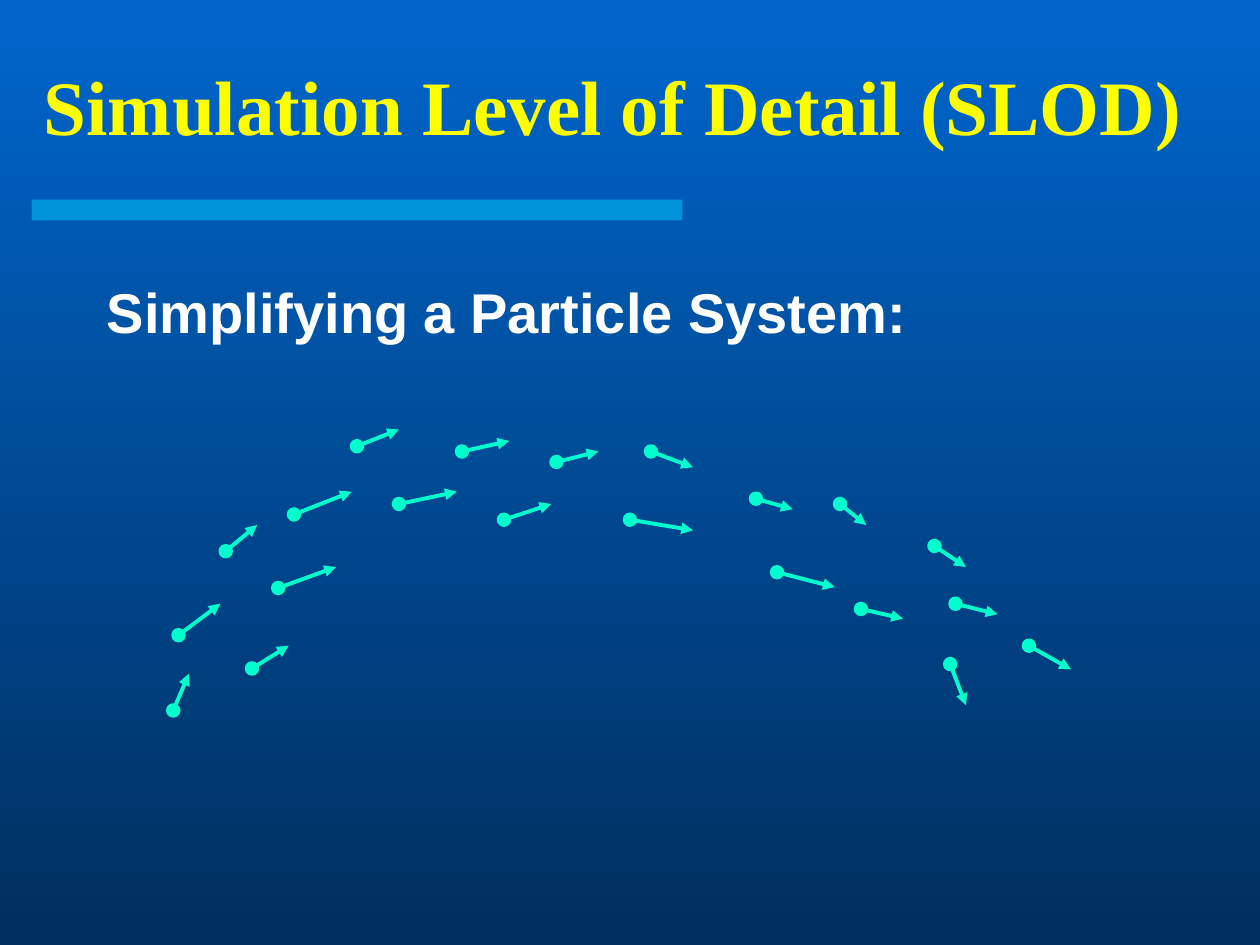
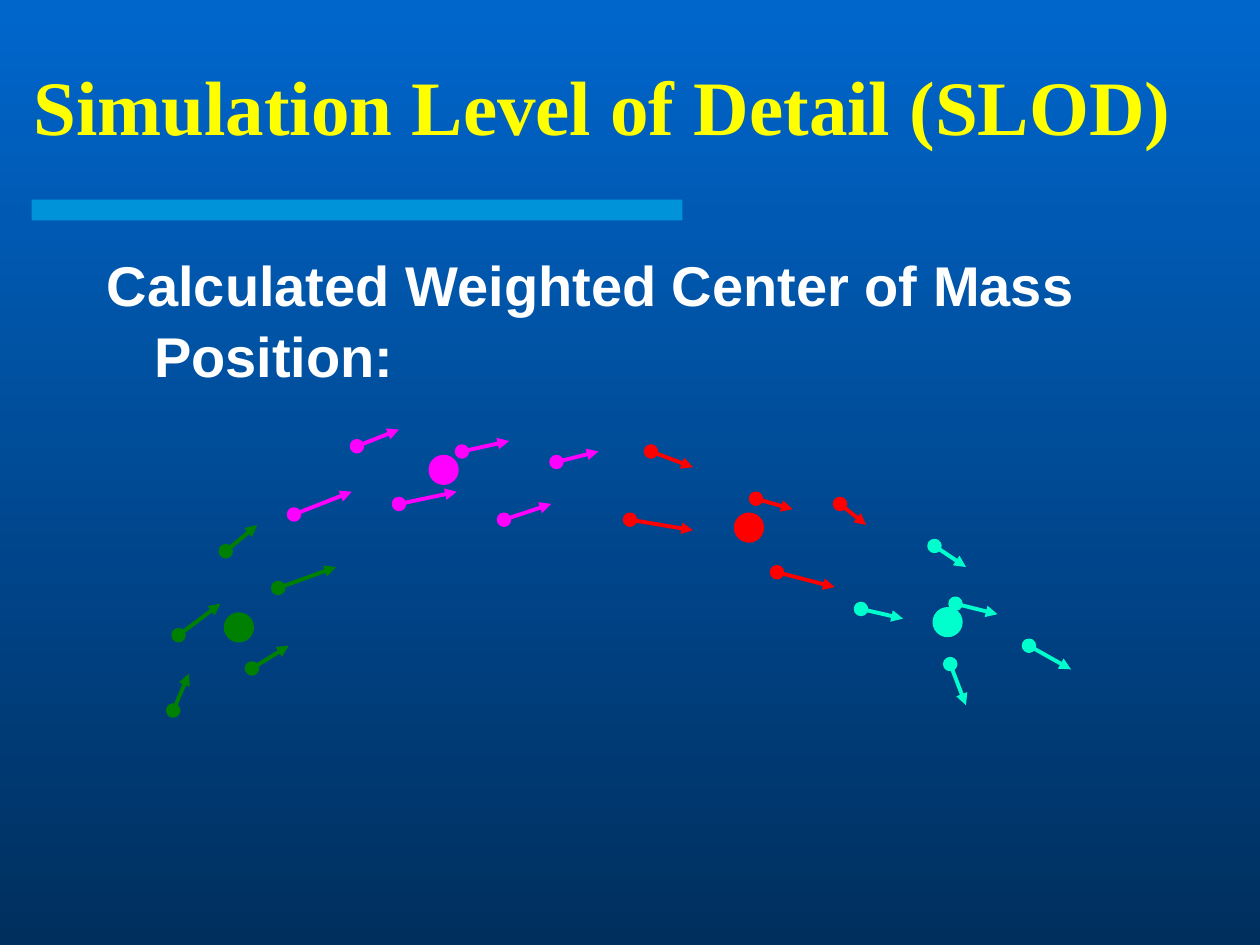
from lxml.etree import SubElement
from pptx import Presentation
from pptx.dml.color import RGBColor
from pptx.enum.shapes import MSO_CONNECTOR, MSO_SHAPE
from pptx.enum.text import MSO_ANCHOR
from pptx.oxml.ns import qn
from pptx.util import Pt

TITLE = "Simulation Level of Detail (SLOD)"
BACKGROUND = ("0066CC", "002F5E")
BAND, YELLOW, WHITE = "00CCFF", "FFFF00", "FFFFFF"
GREEN, MAGENTA, RED, AQUA = "008000", "FF00FF", "FF0000", "00FFCC"
DOT, MASS, STROKE = 6, 15, 2.25

CLUSTERS = [
    {"color": GREEN, "center": (136.5, 358.5), "particles": [
        (129, 315, 147, 300), (159, 336, 192, 324), (102, 363, 126, 345),
        (144, 382, 165, 369), (99, 406, 108, 385)]},
    {"color": MAGENTA, "center": (253.5, 268.5), "particles": [
        (168, 294, 201, 281), (204, 255, 228, 245.5), (228, 288, 261, 281),
        (264, 258, 291, 252), (318, 264, 342, 258), (288, 297, 315, 288)]},
    {"color": RED, "center": (428, 301.5), "particles": [
        (372, 258, 396, 267), (360, 297, 396, 303), (432, 285, 453, 291),
        (480, 288, 495, 300), (444, 327, 477, 335.5)]},
    {"color": AQUA, "center": (541.5, 355.5), "particles": [
        (534, 312, 552, 324), (492, 348, 516, 353.5), (546, 345, 570, 351),
        (543, 379.5, 552, 403), (588, 369, 612, 382.5)]},
]

SLIDES = [
    {"heading": "Simplifying a Particle System:", "heading_top": 153,
     "title_left": 18, "clustered": False},
    {"heading": "Calculated Weighted Center of Mass Position:", "heading_top": 138,
     "title_left": 12, "clustered": True},
]


def rgb(color):
    return RGBColor.from_string(color)


def add_text(slide, text, left, top, width, height, font, size, color,
             anchor=MSO_ANCHOR.TOP, hanging=0, before=0, spacing=1.0):
    box = slide.shapes.add_textbox(Pt(left), Pt(top), Pt(width), Pt(height))
    frame = box.text_frame
    frame.word_wrap = True
    frame.vertical_anchor = anchor
    paragraph = frame.paragraphs[0]
    paragraph.space_before = Pt(before)
    paragraph.line_spacing = spacing
    if hanging:
        properties = paragraph._p.get_or_add_pPr()
        properties.set("marL", str(Pt(hanging)))
        properties.set("indent", str(-Pt(hanging)))
    run = paragraph.add_run()
    run.text = text
    run.font.name = font
    run.font.size = Pt(size)
    run.font.bold = True
    run.font.color.rgb = rgb(color)


def add_circle(slide, x, y, diameter, color):
    shape = slide.shapes.add_shape(
        MSO_SHAPE.OVAL, Pt(x - diameter / 2), Pt(y - diameter / 2), Pt(diameter), Pt(diameter))
    shape.shadow.inherit = False
    shape.fill.solid()
    shape.fill.fore_color.rgb = rgb(color)
    shape.line.color.rgb = rgb(color)
    shape.line.width = Pt(STROKE)


def add_arrow(slide, ends, color):
    arrow = slide.shapes.add_connector(MSO_CONNECTOR.STRAIGHT, *map(Pt, ends))
    arrow.line.color.rgb = rgb(color)
    arrow.line.width = Pt(STROKE)
    SubElement(arrow.line._get_or_add_ln(), qn("a:tailEnd"), type="triangle")
    SubElement(arrow._element.spPr, qn("a:effectLst"))


def add_base(presentation):
    slide = presentation.slides.add_slide(presentation.slide_layouts[6])
    fill = slide.background.fill
    fill.gradient()
    fill.gradient_angle = 270
    for stop, color in zip(fill.gradient_stops, BACKGROUND):
        stop.color.rgb = rgb(color)
    band = slide.shapes.add_shape(MSO_SHAPE.RECTANGLE, Pt(18), Pt(114), Pt(372), Pt(12))
    band.shadow.inherit = False
    band.fill.solid()
    band.fill.fore_color.rgb = rgb(BAND)
    band.line.fill.background()
    color_element = band._element.spPr.find(qn("a:solidFill"))[0]
    SubElement(color_element, qn("a:alpha"), val="50000")
    return slide


def build_slide(presentation, content):
    slide = add_base(presentation)
    add_text(slide, content["heading"], 54, content["heading_top"], 612, 324,
             "Arial", 32, WHITE, hanging=27, before=8, spacing=1.05)
    add_text(slide, TITLE, content["title_left"], 24, 678, 72,
             "Times New Roman", 44, YELLOW, anchor=MSO_ANCHOR.MIDDLE)
    for cluster in CLUSTERS:
        color = cluster["color"] if content["clustered"] else AQUA
        for particle in cluster["particles"]:
            add_circle(slide, *particle[:2], DOT, color)
            add_arrow(slide, particle, color)
        if content["clustered"]:
            add_circle(slide, *cluster["center"], MASS, color)


def main():
    presentation = Presentation()
    presentation.slide_width, presentation.slide_height = Pt(720), Pt(540)
    for content in SLIDES:
        build_slide(presentation, content)
    presentation.save("out.pptx")


if __name__ == "__main__":
    main()
